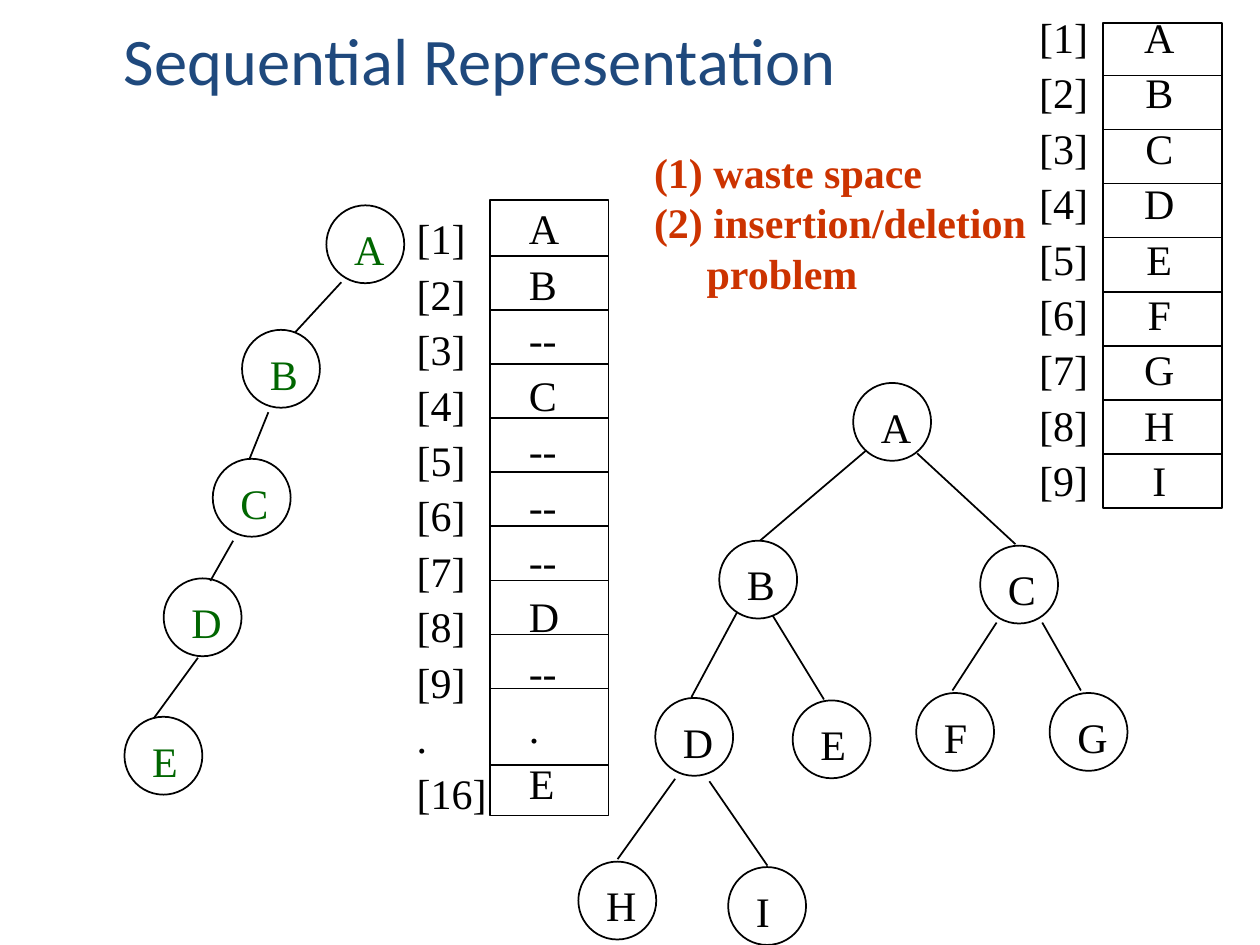
from pptx import Presentation
from pptx.dml.color import RGBColor
from pptx.enum.shapes import MSO_CONNECTOR as LINK, MSO_SHAPE as SHAPE
from pptx.enum.text import MSO_ANCHOR as ANCHOR, MSO_AUTO_SIZE as FIT, PP_ALIGN as ALIGN
from pptx.oxml.ns import qn
from pptx.util import Cm, Pt
from lxml.etree import SubElement

INK = {"title": "1F497D", "text": "000000", "chain": "006600", "note": "CC3300"}
SERIF = "Times New Roman"
SIZE = 24
LEAD = 28.8        # line pitch in points
ROW_LEAD = 31.7    # line pitch of the array columns
NODE = 1.57
ROW = 1.09

# Node label, left, top
CHAIN = [("A", 6.58, 4.14), ("B", 4.88, 6.65), ("C", 4.29, 9.25),
         ("D", 3.3, 11.66), ("E", 2.51, 14.45)]
TREE = [("A", 17.2, 7.72), ("B", 14.5, 10.9), ("C", 19.76, 11),
        ("D", 13.21, 14.07), ("E", 15.98, 14.12), ("F", 18.47, 13.97),
        ("G", 21.16, 13.97), ("H", 11.66, 17.37), ("I", 14.68, 17.48)]
# Parent end x, y, then child end x, y
CHAIN_EDGES = [(6.88, 5.69, 5.94, 6.71), (5.41, 8.31, 5.03, 9.25),
               (4.7, 10.9, 4.24, 11.71), (3.99, 13.26, 3.1, 14.48)]
TREE_EDGES = [(17.45, 9.09, 15.32, 10.9), (18.49, 9.14, 20.47, 10.97),
              (14.86, 12.34, 13.94, 14.05), (15.57, 12.4, 16.61, 14.1),
              (20.09, 12.55, 19.2, 13.92), (21.01, 12.55, 21.79, 13.92),
              (13.61, 15.7, 12.45, 17.32), (14.3, 15.75, 15.47, 17.45)]


def ink(name):
    return RGBColor.from_string(INK[name])


def write(par, text, color, size=SIZE, font=SERIF, bold=False):
    run = par.add_run()
    run.text = text
    face = run.font
    face.name, face.size, face.bold = font, Pt(size), bold
    face.color.rgb = ink(color)


def stack(frame, rows, color, lead, align=ALIGN.LEFT, bold=False):
    """Write one paragraph per row at a fixed line pitch."""
    for i, row in enumerate(rows):
        par = frame.add_paragraph() if i else frame.paragraphs[0]
        par.alignment = align
        par.line_spacing = Pt(lead)
        par.space_before = Pt(0)
        write(par, row, color, bold=bold)


def outline(slide, kind, x, y, w, h):
    shape = slide.shapes.add_shape(kind, Cm(x), Cm(y), Cm(w), Cm(h))
    shape.shadow.inherit = False
    shape.fill.background()
    shape.line.color.rgb = ink("text")
    shape.line.width = Pt(1)
    return shape


def edge(slide, x1, y1, x2, y2):
    line = slide.shapes.add_connector(LINK.STRAIGHT, Cm(x1), Cm(y1), Cm(x2), Cm(y2))
    line.line.color.rgb = ink("text")
    line.line.width = Pt(1)
    SubElement(line._element.spPr, qn("a:effectLst"))


def node(slide, label, x, y, color):
    frame = outline(slide, SHAPE.OVAL, x, y, NODE, NODE).text_frame
    frame.word_wrap = True
    frame.vertical_anchor = ANCHOR.TOP
    frame.margin_left, frame.margin_top = Cm(0.33), Cm(0.14)
    frame.margin_right = frame.margin_bottom = 0
    stack(frame, [label], color, LEAD)


def graph(slide, nodes, edges, color):
    for label, x, y in nodes:
        node(slide, label, x, y, color)
    for ends in edges:
        edge(slide, *ends)


def column(slide, rows, x, y, w, h, align=ALIGN.LEFT):
    frame = slide.shapes.add_textbox(Cm(x), Cm(y), Cm(w), Cm(h)).text_frame
    frame.word_wrap = False
    stack(frame, rows, "text", ROW_LEAD, align)


def grid(slide, x, y, w, h, rules):
    """Draw a frame with a rule across it at each given height."""
    outline(slide, SHAPE.RECTANGLE, x, y, w, h)
    for rule in rules:
        edge(slide, x, rule, x + w, rule)


def steps(first):
    return [first + i * ROW for i in range(9)]


def place(shape, x, y, w, h):
    shape.left, shape.top, shape.width, shape.height = Cm(x), Cm(y), Cm(w), Cm(h)
    frame = shape.text_frame
    frame.auto_size = FIT.NONE
    frame.word_wrap = True
    return frame


def title(slide, text):
    frame = place(slide.shapes.title, 2.24, 0, 16.81, 2.39)
    frame.vertical_anchor = ANCHOR.MIDDLE
    par = frame.paragraphs[0]
    par.alignment = ALIGN.LEFT
    write(par, text, "title", 38, "Calibri")


def notes(slide, rows):
    """Fill the body; the last row continues the one above, indented."""
    frame = place(slide.placeholders[1], 12.93, 2.82, 8.2, 3.3)
    stack(frame, rows, "note", LEAD, bold=True)
    for par in frame.paragraphs:
        props = par._p.get_or_add_pPr()
        props.set("marL", "0")
        props.set("indent", "0")
        SubElement(props, qn("a:buNone"))
    props.set("marL", str(Cm(1.06)))


def main():
    deck = Presentation()
    deck.slide_width, deck.slide_height = Cm(25.4), Cm(19.05)
    slide = deck.slides.add_slide(deck.slide_layouts[1])
    title(slide, "Sequential Representation")
    notes(slide, ["(1) waste space", "(2) insertion/deletion", "problem"])

    marks = [f"[{i}]" for i in range(1, 10)]
    grid(slide, 9.88, 4.04, 2.39, 12.4, steps(5.16) + [15.42])
    column(slide, ["A", "B", "--", "C", "--", "--", "--", "D", "--", ".", "E"],
           10.41, 3.86, 1.12, 12.52)
    column(slide, marks + [".", "[16]"], 8.15, 4.06, 1.93, 12.52)

    grid(slide, 22.24, 0.46, 2.39, 9.78, steps(1.52))
    column(slide, marks, 20.7, 0, 1.5, 10.29)
    column(slide, "ABCDEFGHI", 22.81, 0, 1.12, 10.29, ALIGN.CENTER)

    graph(slide, CHAIN, CHAIN_EDGES, "chain")
    graph(slide, TREE, TREE_EDGES, "text")
    deck.save("out.pptx")


if __name__ == "__main__":
    main()
